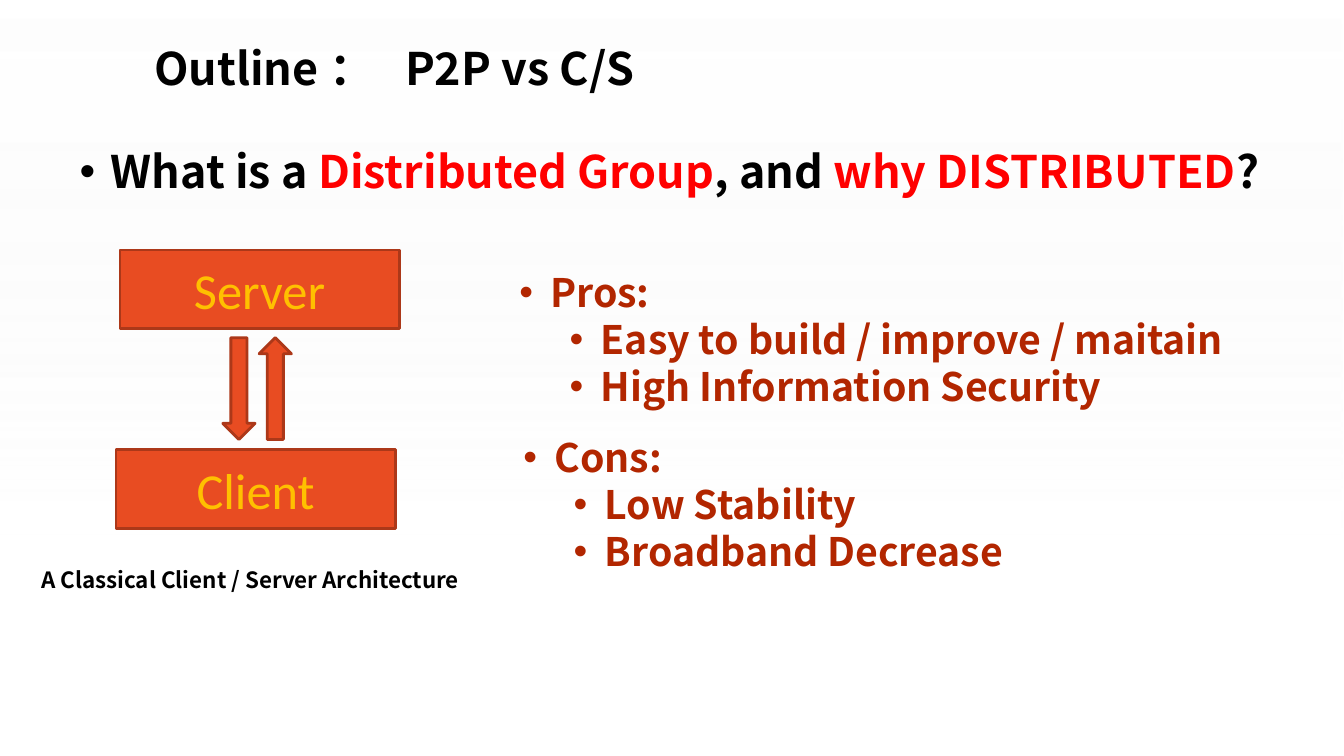
from lxml import etree
from pptx import Presentation
from pptx.dml.color import RGBColor
from pptx.enum.shapes import MSO_SHAPE
from pptx.enum.text import MSO_ANCHOR, MSO_AUTO_SIZE, PP_ALIGN
from pptx.oxml.ns import qn
from pptx.util import Pt

RECTANGLE = MSO_SHAPE.RECTANGLE
DOWN_ARROW = MSO_SHAPE.DOWN_ARROW
MIDDLE = MSO_ANCHOR.MIDDLE
TOP = MSO_ANCHOR.TOP
GROW = MSO_AUTO_SIZE.SHAPE_TO_FIT_TEXT
CENTER = PP_ALIGN.CENTER

EMU_PER_PX = 9144  # 100 px to the inch
HEADING_FONT = "Noto Sans CJK SC"
BOX_FONT = "Calibri"

BLACK = RGBColor(0x00, 0x00, 0x00)
WHITE = RGBColor(0xFF, 0xFF, 0xFF)
PALE_GREY = RGBColor(0xF2, 0xF2, 0xF2)
RED = RGBColor(0xFF, 0x00, 0x00)
ORANGE = RGBColor(0xE8, 0x4C, 0x22)
DARK_ORANGE = RGBColor(0xAC, 0x38, 0x19)
GOLD = RGBColor(0xFF, 0xC0, 0x00)
RUST = RGBColor(0xB2, 0x26, 0x00)

BULLET_INDENT = 31
LEVEL_MARGINS = (31, 81)


def px(length):
    return length * EMU_PER_PX


def add_run(paragraph, text, size, color, font=HEADING_FONT, bold=True, spacing=None):
    run = paragraph.add_run()
    run.text = text
    run.font.size = Pt(size)
    run.font.bold = bold
    run.font.color.rgb = color
    run.font.name = font
    properties = run.font._element
    etree.SubElement(properties, qn("a:ea")).set("typeface", font)
    if spacing:
        properties.set("spc", str(spacing * 100))


def set_bullet(paragraph, level):
    paragraph.level = level
    properties = paragraph._p.get_or_add_pPr()
    properties.set("marL", str(px(LEVEL_MARGINS[level])))
    properties.set("indent", str(-px(BULLET_INDENT)))
    etree.SubElement(properties, qn("a:buFont")).set("typeface", "Arial")
    etree.SubElement(properties, qn("a:buChar")).set("char", "•")


def add_text_frame(slide, left, top, width, height, wrap=True):
    box = slide.shapes.add_textbox(px(left), px(top), px(width), px(height))
    frame = box.text_frame
    frame.margin_left = frame.margin_right = 0
    frame.margin_top = frame.margin_bottom = 0
    frame.vertical_anchor = TOP
    frame.word_wrap = wrap
    frame.auto_size = GROW
    return frame


def add_bullet_list(slide, left, top, width, height, items, wrap=True):
    """The first item is the heading, the others sit one level below it."""
    frame = add_text_frame(slide, left, top, width, height, wrap)
    for index, item in enumerate(items):
        paragraph = frame.add_paragraph() if index else frame.paragraphs[0]
        set_bullet(paragraph, min(index, 1))
        add_run(paragraph, item, 28, RUST)


def add_orange_shape(slide, kind, left, top, width, height):
    shape = slide.shapes.add_shape(kind, px(left), px(top), px(width), px(height))
    shape.shadow.inherit = False
    shape.fill.solid()
    shape.fill.fore_color.rgb = ORANGE
    shape.line.color.rgb = DARK_ORANGE
    shape.line.width = Pt(2)
    return shape


def add_node(slide, label, left, top):
    node = add_orange_shape(slide, RECTANGLE, left, top, 277, 78)
    node.text_frame.vertical_anchor = MIDDLE
    paragraph = node.text_frame.paragraphs[0]
    paragraph.alignment = CENTER
    add_run(paragraph, label, 36, GOLD, BOX_FONT, False)


def add_background(slide):
    backdrop = slide.shapes.add_shape(RECTANGLE, px(-2), 0, px(1334), px(750))
    backdrop.shadow.inherit = False
    backdrop.line.fill.background()
    backdrop.fill.gradient()
    backdrop.fill.gradient_angle = 270
    stops = ((0, WHITE, 55), (0.71, PALE_GREY, 0))
    for stop, (position, color, opacity) in zip(backdrop.fill.gradient_stops, stops):
        stop.position = position
        stop.color.rgb = color
        color_element = stop._gs.find(qn("a:srgbClr"))
        etree.SubElement(color_element, qn("a:alpha")).set("val", str(opacity * 1000))


def main():
    presentation = Presentation()
    presentation.slide_width = px(1333)
    presentation.slide_height = px(750)
    slide = presentation.slides.add_slide(presentation.slide_layouts[6])
    add_background(slide)

    # Title, with a wider gap after the colon
    title = add_text_frame(slide, 153, 40, 583, 54).paragraphs[0]
    add_run(title, "Outline ：", 32, BLACK)
    add_run(title, " ", 32, BLACK, spacing=15)
    add_run(title, "P2P vs C/S", 32, BLACK)

    # Question
    question = add_text_frame(slide, 29, 116, 1275, 71, wrap=False).paragraphs[0]
    question.line_spacing = 1.5
    set_bullet(question, 1)
    for text, color in (
        ("What is a ", BLACK),
        ("Distributed Group", RED),
        (", and ", BLACK),
        ("why DISTRIBUTED", RED),
        ("?", BLACK),
    ):
        add_run(question, text, 32, color)

    # Client / server diagram
    add_node(slide, "Server", 119, 248)
    add_node(slide, "Client", 115, 446)
    for left, rotation in ((221, 0), (257, 180)):
        arrow = add_orange_shape(slide, DOWN_ARROW, left, 335, 32, 101)
        arrow.rotation = rotation
    caption = add_text_frame(slide, 41, 562, 433, 27).paragraphs[0]
    add_run(caption, "A Classical Client / Server Architecture", 16, BLACK)

    # Pros and cons
    pros = ("Pros:", "Easy to build / improve / maitain", "High Information Security")
    cons = ("Cons:", "Low Stability", "Broadband Decrease")
    add_bullet_list(slide, 515, 266, 732, 236, pros, wrap=False)
    add_bullet_list(slide, 519, 430, 732, 188, cons)

    presentation.save("out.pptx")


if __name__ == "__main__":
    main()
